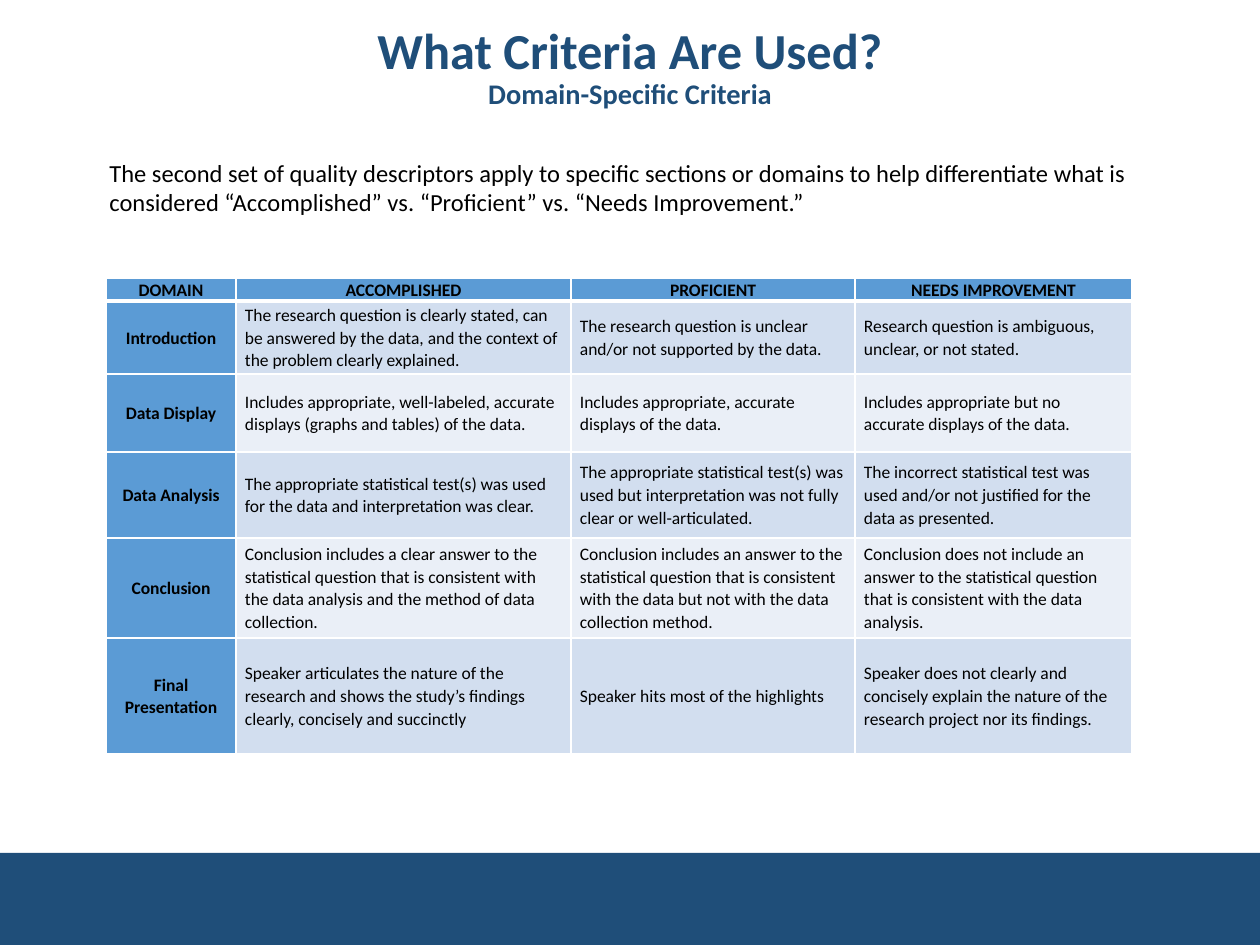
from dataclasses import dataclass

from lxml import etree
from pptx import Presentation
from pptx import util as u
from pptx.dml.color import RGBColor
from pptx.enum import shapes, text
from pptx.oxml.ns import qn

TITLE = "What Criteria Are Used?"
SUBTITLE = "Domain-Specific Criteria"
INTRO = (
    "The second set of quality descriptors apply to specific sections or domains to help "
    "differentiate what is considered “Accomplished” vs. “Proficient” vs. “Needs Improvement.”"
)
CRITERIA = [
    ("DOMAIN", "ACCOMPLISHED", "PROFICIENT", "NEEDS IMPROVEMENT"),
    ("Introduction",
     "The research question is clearly stated, can be answered by the data, and the context "
     "of the problem clearly explained.",
     "The research question is unclear and/or not supported by the data.",
     "Research question is ambiguous, unclear, or not stated."),
    ("Data Display",
     "Includes appropriate, well-labeled, accurate displays (graphs and tables) of the data.",
     "Includes appropriate, accurate displays of the data.",
     "Includes appropriate but no accurate displays of the data."),
    ("Data Analysis",
     "The appropriate statistical test(s) was used for the data and interpretation was clear.",
     "The appropriate statistical test(s) was used but interpretation was not fully clear or "
     "well-articulated.",
     "The incorrect statistical test was used and/or not justified for the data as presented."),
    ("Conclusion",
     "Conclusion includes a clear answer to the statistical question that is consistent with "
     "the data analysis and the method of data collection.",
     "Conclusion includes an answer to the statistical question that is consistent with the "
     "data but not with the data collection method.",
     "Conclusion does not include an answer to the statistical question that is consistent "
     "with the data analysis."),
    ("Final Presentation",
     "Speaker articulates the nature of the research and shows the study’s findings clearly, "
     "concisely and succinctly",
     "Speaker hits most of the highlights",
     "Speaker does not clearly and concisely explain the nature of the research project nor "
     "its findings."),
]
COLUMN_WIDTHS = (130, 335, 284, 277)
ROW_HEIGHTS = (23, 73, 78, 86, 100, 116)
SLIDE_W, SLIDE_H = 1260, 945
FOOTER_TOP = 853


@dataclass(frozen=True)
class Theme:
    font: str = "Calibri"
    navy: str = "1F4E79"
    ink: str = "000000"
    header: str = "5B9BD5"
    bands: tuple = ("D2DEEF", "EAEFF7")
    border: str = "FFFFFF"
    title_pt: float = 28.8
    subtitle_pt: float = 16.2
    intro_pt: float = 14
    cell_pt: float = 10


THEME = Theme()


def px(n):
    return u.Emu(round(n * 914400 / 126))


def box(*lengths):
    return [px(n) for n in lengths]


def add_run(p, words, size, color, bold=False):
    r = p.add_run()
    r.text = words
    r.font.name = THEME.font
    r.font.size = u.Pt(size)
    r.font.bold = bold
    r.font.color.rgb = RGBColor.from_string(color)


def set_borders(cell, top, bottom):
    """Draw the four cell borders, 1 pt wide at the sides."""
    props = cell._tc.get_or_add_tcPr()
    for side, width in (("L", 1), ("R", 1), ("T", top), ("B", bottom)):
        ln = etree.SubElement(props, qn(f"a:ln{side}"), w=str(u.Pt(width)))
        fill = etree.SubElement(ln, qn("a:solidFill"))
        etree.SubElement(fill, qn("a:srgbClr"), val=THEME.border)


def add_footer(slide):
    sp = slide.shapes.add_shape(shapes.MSO_SHAPE.RECTANGLE,
                                *box(0, FOOTER_TOP, SLIDE_W, SLIDE_H - FOOTER_TOP))
    sp.shadow.inherit = False
    sp.fill.solid()
    sp.fill.fore_color.rgb = RGBColor.from_string(THEME.navy)
    sp.line.fill.background()


def add_title(slide):
    sp = slide.shapes.title
    sp.left, sp.top, sp.width, sp.height = box(63, 49, 1134, 102)
    tf = sp.text_frame
    tf.auto_size = text.MSO_AUTO_SIZE.NONE
    tf.vertical_anchor = text.MSO_ANCHOR.MIDDLE
    tf.margin_top, tf.margin_bottom = px(0), px(64)
    p = tf.paragraphs[0]
    p.alignment = text.PP_ALIGN.CENTER
    p.line_spacing = 0.9
    add_run(p, TITLE, THEME.title_pt, THEME.navy, bold=True)
    p.add_line_break()
    add_run(p, SUBTITLE, THEME.subtitle_pt, THEME.navy, bold=True)


def add_intro(slide):
    tf = slide.shapes.add_textbox(*box(97, 151, 1113, 102)).text_frame
    tf.word_wrap = True
    tf.vertical_anchor = text.MSO_ANCHOR.MIDDLE
    tf.margin_bottom = px(36)
    add_run(tf.paragraphs[0], INTRO, THEME.intro_pt, THEME.ink)


def fill_cell(cell, words, row, col):
    is_header = row == 0 or col == 0
    set_borders(cell, top=3 if row == 1 else 1, bottom=3 if row == 0 else 1)
    color = THEME.header if is_header else THEME.bands[(row - 1) % 2]
    cell.fill.solid()
    cell.fill.fore_color.rgb = RGBColor.from_string(color)
    cell.vertical_anchor = text.MSO_ANCHOR.MIDDLE
    cell.margin_left = cell.margin_right = px(9)
    cell.margin_top = cell.margin_bottom = 0
    p = cell.text_frame.paragraphs[0]
    p.alignment = text.PP_ALIGN.CENTER if is_header else text.PP_ALIGN.LEFT
    p.line_spacing = 1.07
    p.space_after = u.Pt(8)
    add_run(p, words, THEME.cell_pt, THEME.ink, bold=is_header)


def add_criteria(slide):
    frame = slide.shapes.add_table(len(CRITERIA), len(COLUMN_WIDTHS),
                                   *box(106, 278, sum(COLUMN_WIDTHS), sum(ROW_HEIGHTS)))
    table = frame.table
    for column, width in zip(table.columns, COLUMN_WIDTHS):
        column.width = px(width)
    for i, (height, entries) in enumerate(zip(ROW_HEIGHTS, CRITERIA)):
        table.rows[i].height = px(height)
        for j, words in enumerate(entries):
            fill_cell(table.cell(i, j), words, i, j)


def main():
    prs = Presentation()
    prs.slide_width, prs.slide_height = box(SLIDE_W, SLIDE_H)
    slide = prs.slides.add_slide(prs.slide_layouts.get_by_name("Title Only"))
    add_footer(slide)
    add_title(slide)
    add_intro(slide)
    add_criteria(slide)
    prs.save("out.pptx")


if __name__ == "__main__":
    main()
